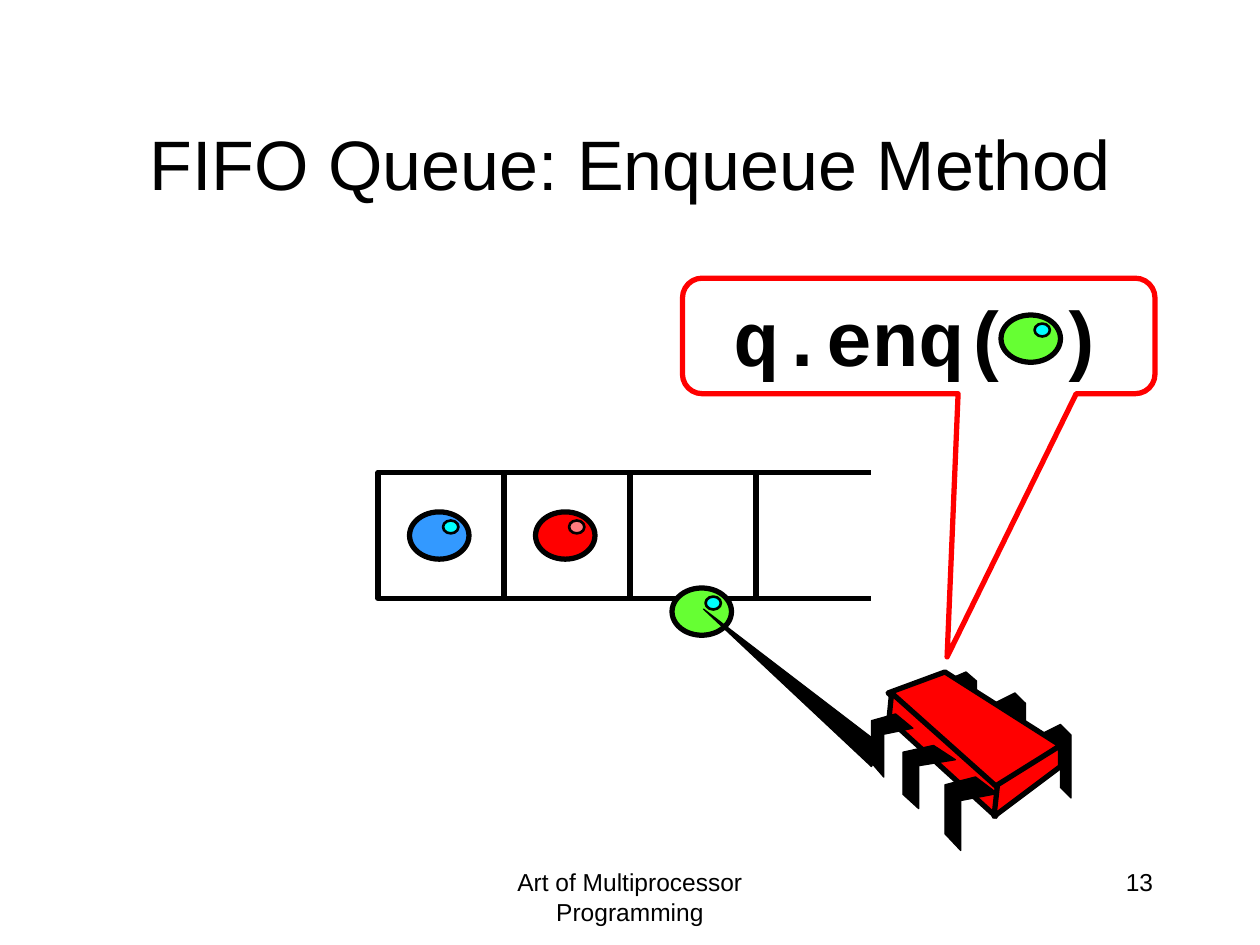
from dataclasses import dataclass

from lxml.etree import SubElement
from pptx import Presentation
from pptx.dml.color import RGBColor
from pptx.enum.shapes import MSO_CONNECTOR as Connector, MSO_SHAPE as Shape
from pptx.enum.text import MSO_ANCHOR as Anchor, PP_ALIGN as Align
from pptx.oxml.ns import qn
from pptx.util import Pt

BLACK, RED, GREEN, CYAN = "000000", "FF0000", "66FF33", "00FFFF"
Points = list[tuple[float, float]]


@dataclass
class Ball:
    left: float
    top: float
    color: str
    shine: str = CYAN


@dataclass
class Leg:
    left: float
    top: float
    x_scale: float = 1
    y_scale: float = 1


def rgb(color: str) -> RGBColor:
    return RGBColor.from_string(color)


def paint(shape, fill: str | None, line: str = BLACK, width: float = 3) -> None:
    shape.shadow.inherit = False
    if fill:
        shape.fill.solid()
        shape.fill.fore_color.rgb = rgb(fill)
    else:
        shape.fill.background()
    shape.line.color.rgb = rgb(line)
    shape.line.width = Pt(width)


def write(shape, text: str, size: float, align: Align, anchor: Anchor = Anchor.TOP,
          font_name: str = "Arial", bold: bool = False) -> None:
    frame = shape.text_frame
    frame.text = text
    frame.word_wrap = True
    frame.vertical_anchor = anchor
    paragraph = frame.paragraphs[0]
    paragraph.alignment = align
    font = paragraph.runs[0].font
    font.name, font.size, font.bold = font_name, Pt(size), bold
    font.color.rgb = rgb(BLACK)


def draw_ball(shapes, ball: Ball) -> None:
    body = shapes.add_shape(Shape.OVAL, Pt(ball.left), Pt(ball.top), Pt(34), Pt(27))
    paint(body, ball.color)
    shine = shapes.add_shape(Shape.OVAL, Pt(ball.left + 19.2), Pt(ball.top + 4.9),
                             Pt(8.8), Pt(7.4))
    paint(shine, ball.shine, width=1.5)


def draw_polygon(shapes, points: Points, fill: str, width: float) -> None:
    start, *rest = [(Pt(x), Pt(y)) for x, y in points]
    builder = shapes.build_freeform(*start)
    builder.add_line_segments(rest, close=True)
    paint(builder.convert_to_shape(), fill, width=width)


def draw_leg(shapes, leg: Leg, profile: Points) -> None:
    points = [(leg.left + x * leg.x_scale, leg.top + y * leg.y_scale) for x, y in profile]
    draw_polygon(shapes, points, BLACK, 0.75)


def draw_line(shapes, left: float, right: float, y: float) -> None:
    edge = shapes.add_connector(Connector.STRAIGHT, Pt(left), Pt(y), Pt(right), Pt(y))
    edge.line.color.rgb = rgb(BLACK)
    edge.line.width = Pt(3)
    SubElement(edge._element.spPr, qn("a:effectLst"))


CELL, QUEUE_LEFT, QUEUE_TOP = 72, 216, 270

FAR_PROFILE = [(0, 6), (12, 0), (18, 6), (18, 42), (12, 36), (12, 12), (0, 18)]
FAR_LEGS = [Leg(594, 414), Leg(568, 396), Leg(540, 384, y_scale=0.86)]
NEAR_PROFILE = [(17.5, 0), (30, 9.5), (9, 13.5), (9, 42), (0, 32.5), (0, 4.5)]
NEAR_LEGS = [Leg(540, 444), Leg(516, 426, y_scale=0.86), Leg(498, 408, 0.79, 0.86)]
CHIP_FACES = [
    [(540, 384), (606, 426), (569, 451), (507.5, 396)],
    [(509.5, 396), (570, 450), (569, 466.5), (508, 411)],
    [(606, 426), (606, 438), (568, 466.5), (570, 448.5)],
]
ARM = [(498, 438), (504, 426), (402, 348)]


def main() -> None:
    prs = Presentation()
    prs.slide_width, prs.slide_height = Pt(720), Pt(540)
    slide = prs.slides.add_slide(prs.slide_layouts[5])
    shapes = slide.shapes

    # Title
    title = shapes.title
    title.left, title.top, title.width, title.height = Pt(54), Pt(48), Pt(612), Pt(90)
    write(title, "FIFO Queue: Enqueue Method", 40, Align.CENTER, Anchor.MIDDLE)

    # Queue cells, open at the right end
    for index in range(3):
        cell = shapes.add_shape(Shape.RECTANGLE, Pt(QUEUE_LEFT + index * CELL),
                                Pt(QUEUE_TOP), Pt(CELL), Pt(CELL))
        paint(cell, None)
    for y in (QUEUE_TOP, QUEUE_TOP + CELL):
        draw_line(shapes, 426, 498, y)

    # Queued items and the item being added
    for ball in (Ball(234, 292.5, "3399FF"), Ball(306, 292.5, RED, "FF7C80"),
                 Ball(384, 336, GREEN)):
        draw_ball(shapes, ball)

    # Chip with its legs and arm
    for leg in FAR_LEGS:
        draw_leg(shapes, leg, FAR_PROFILE)
    for face in CHIP_FACES:
        draw_polygon(shapes, face, RED, 3)
    for leg in NEAR_LEGS:
        draw_leg(shapes, leg, NEAR_PROFILE)
    draw_polygon(shapes, ARM, BLACK, 0.75)

    # Method call spoken by the chip
    call = shapes.add_shape(Shape.ROUNDED_RECTANGULAR_CALLOUT,
                            Pt(390), Pt(159), Pt(270), Pt(66))
    for index, value in enumerate((0.06, 2.78, 0.17)):
        call.adjustments[index] = value
    paint(call, None, RED)
    write(call, "q.enq( )", 44, Align.CENTER, Anchor.MIDDLE, "Courier New", True)
    draw_ball(shapes, Ball(572, 180, GREEN))

    # Footer and slide number
    footer = shapes.add_textbox(Pt(246), Pt(492), Pt(228), Pt(36))
    write(footer, "Art of Multiprocessor Programming", 14, Align.CENTER)
    number = shapes.add_textbox(Pt(516), Pt(492), Pt(150), Pt(36))
    write(number, "13", 14, Align.RIGHT)

    prs.save("out.pptx")


if __name__ == "__main__":
    main()
